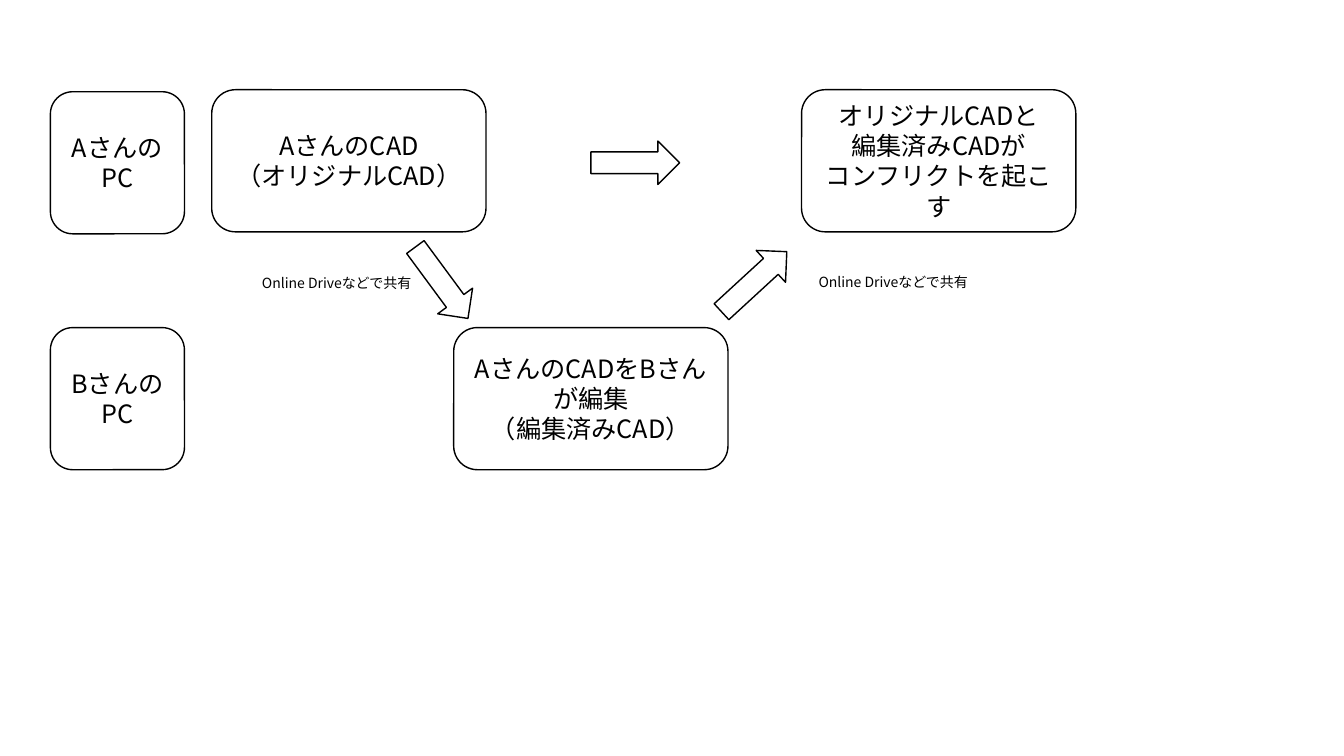
from dataclasses import dataclass

from lxml import etree
from pptx import Presentation
from pptx.dml.color import RGBColor
from pptx.enum.shapes import MSO_SHAPE
from pptx.enum.text import MSO_ANCHOR, MSO_AUTO_SIZE, PP_ALIGN
from pptx.oxml.ns import qn
from pptx.shapes.autoshape import Shape
from pptx.slide import Slide
from pptx.text.text import _Paragraph
from pptx.util import Inches, Pt

ROUNDED = MSO_SHAPE.ROUNDED_RECTANGLE
RIGHT_ARROW = MSO_SHAPE.RIGHT_ARROW
MIDDLE = MSO_ANCHOR.MIDDLE
CENTER = PP_ALIGN.CENTER
FIT_SHAPE = MSO_AUTO_SIZE.SHAPE_TO_FIT_TEXT


@dataclass(frozen=True)
class Theme:
    font: str = "Noto Sans CJK JP"
    ink: RGBColor = RGBColor(0, 0, 0)
    paper: RGBColor = RGBColor(255, 255, 255)
    box_size: int = 18
    label_size: int = 10
    line_width: int = 1


@dataclass(frozen=True)
class Box:
    """A rounded box; each paragraph is a tuple of its lines."""
    left: float
    top: float
    width: float
    paragraphs: tuple[tuple[str, ...], ...]


@dataclass(frozen=True)
class Arrow:
    left: float
    top: float
    rotation: float = 0


@dataclass(frozen=True)
class Label:
    left: float
    top: float


THEME = Theme()
PC_LEFT, PC_WIDTH = 0.5, 1.33
CAD_TOP, CAD_WIDTH = 0.89, 2.72
B_TOP = 3.25
BOX_HEIGHT = 1.41
ARROW_WIDTH, ARROW_HEIGHT = 0.88, 0.43
LABEL_WIDTH, LABEL_HEIGHT = 1.81, 0.27
SHARING_TEXT = "Online Driveなどで共有"

BOXES = (
    Box(PC_LEFT, 0.91, PC_WIDTH, (("AさんのPC",),)),
    Box(PC_LEFT, B_TOP, PC_WIDTH, (("BさんのPC",),)),
    Box(2.1, CAD_TOP, CAD_WIDTH, (("AさんのCAD",), ("（オリジナルCAD）",))),
    Box(4.5, B_TOP, CAD_WIDTH, (("AさんのCADをBさんが編集", "（編集済みCAD）"),)),
    Box(7.95, CAD_TOP, CAD_WIDTH,
        (("オリジナルCADと",), ("編集済みCADが",), ("コンフリクトを起こす",))),
)
ARROWS = (Arrow(5.86, 1.4), Arrow(3.94, 2.59, 53.6), Arrow(7.04, 2.58, 317.4))
LABELS = (Label(2.5, 2.67), Label(8.02, 2.66))


def add_run(p: _Paragraph, text: str, size: int) -> None:
    r = p.add_run()
    r.text = text
    r.font.size = Pt(size)
    r.font.name = THEME.font
    r.font.color.rgb = THEME.ink
    etree.SubElement(r.font._element, qn("a:ea"), typeface=THEME.font)


def add_outlined(s: Slide, kind: MSO_SHAPE, left: float, top: float,
                 width: float, height: float) -> Shape:
    sp = s.shapes.add_shape(kind, Inches(left), Inches(top),
                            Inches(width), Inches(height))
    sp.shadow.inherit = False
    sp.fill.solid()
    sp.fill.fore_color.rgb = THEME.paper
    sp.line.color.rgb = THEME.ink
    sp.line.width = Pt(THEME.line_width)
    return sp


def add_box(s: Slide, box: Box) -> None:
    sp = add_outlined(s, ROUNDED, box.left, box.top, box.width, BOX_HEIGHT)
    tf = sp.text_frame
    tf.word_wrap = True
    tf.vertical_anchor = MIDDLE
    for i, lines in enumerate(box.paragraphs):
        p = tf.add_paragraph() if i else tf.paragraphs[0]
        p.alignment = CENTER
        for j, line in enumerate(lines):
            if j:
                p.add_line_break()
            add_run(p, line, THEME.box_size)


def add_arrow(s: Slide, arrow: Arrow) -> None:
    sp = add_outlined(s, RIGHT_ARROW, arrow.left, arrow.top,
                      ARROW_WIDTH, ARROW_HEIGHT)
    sp.rotation = arrow.rotation


def add_label(s: Slide, label: Label) -> None:
    sp = s.shapes.add_textbox(Inches(label.left), Inches(label.top),
                              Inches(LABEL_WIDTH), Inches(LABEL_HEIGHT))
    tf = sp.text_frame
    tf.word_wrap = True
    tf.auto_size = FIT_SHAPE
    add_run(tf.paragraphs[0], SHARING_TEXT, THEME.label_size)


def main() -> None:
    prs = Presentation()
    prs.slide_width = Inches(13.33)
    prs.slide_height = Inches(7.5)
    s = prs.slides.add_slide(prs.slide_layouts[6])
    for box in BOXES:
        add_box(s, box)
    for arrow in ARROWS:
        add_arrow(s, arrow)
    for label in LABELS:
        add_label(s, label)
    prs.save("out.pptx")


if __name__ == "__main__":
    main()
